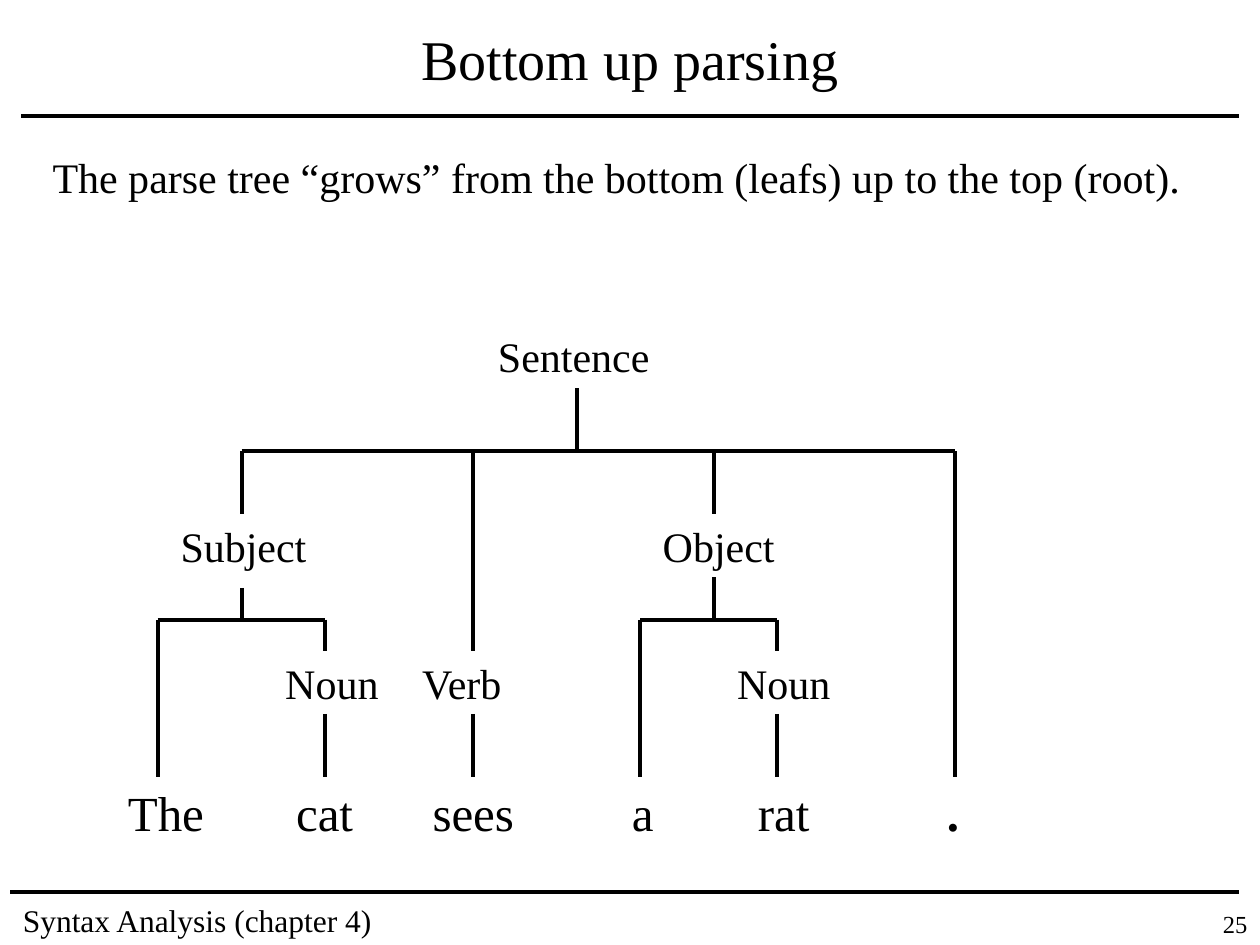
import pptx
import pptx.dml.color
import pptx.enum.shapes
import pptx.enum.text
import pptx.util
from dataclasses import dataclass
from lxml import etree
from pptx.util import Cm

ALIGN = pptx.enum.text.PP_ALIGN
ANCHOR = pptx.enum.text.MSO_ANCHOR
AUTO = pptx.enum.text.MSO_AUTO_SIZE
SHAPE = pptx.enum.shapes.MSO_SHAPE
CONNECTOR = pptx.enum.shapes.MSO_CONNECTOR


@dataclass(frozen=True)
class Theme:
    font: str = "Times New Roman"
    ink: str = "000000"
    paper: str = "FFFFFF"
    title: int = 32
    word: int = 28
    body: int = 24
    footer: int = 18
    number: int = 14
    rule: float = 2.25


THEME = Theme()

# Heights of the tree levels, in cm
ROOT_TOP, ROOT_END = 6.53, 7.83
ROOT_BAR, PHRASE_TOP = 9.1, 10.37
PHRASE_BAR, TAG_TOP = 12.49, 13.12
TAG_END, WORD_TOP = 14.39, 15.66

# Horizontal positions of the branches, in cm
THE, CAT, SEES, A, RAT, STOP = 3.18, 6.56, 9.53, 12.91, 15.66, 19.26
SUBJECT, OBJECT, SENTENCE = 4.87, 14.39, 11.64

# text, left, width, bold
WORDS = [
    ("The", 2.33, 2.15, False),
    ("cat", 5.72, 1.75, False),
    ("sees", 8.47, 2.25, False),
    ("a", 12.49, 1.05, False),
    ("rat", 15.03, 1.65, False),
    (".", 18.84, 0.85, True),
]
# text, left, top, width
LABELS = [
    ("Sentence", 9.79, ROOT_TOP, 3.56),
    ("Subject", 3.39, PHRASE_TOP, 3.05),
    ("Object", 13.11, PHRASE_TOP, 2.77),
    ("Noun", 5.5, TAG_TOP, 2.39),
    ("Verb", 8.26, TAG_TOP, 2.18),
    ("Noun", 14.61, TAG_TOP, 2.39),
]
# parent x, parent end, bar height, [(child x, child top)]
BRANCHES = [
    (SENTENCE, ROOT_END, ROOT_BAR,
     [(SUBJECT, PHRASE_TOP), (SEES, TAG_TOP), (OBJECT, PHRASE_TOP), (STOP, WORD_TOP)]),
    (SUBJECT, 11.85, PHRASE_BAR, [(THE, WORD_TOP), (CAT, TAG_TOP)]),
    (OBJECT, 11.64, PHRASE_BAR, [(A, WORD_TOP), (RAT, TAG_TOP)]),
]


def rgb(value):
    return pptx.dml.color.RGBColor.from_string(value)


def apply(target, values):
    for name, value in values.items():
        setattr(target, name, value)


def write(sp, text, size, align=ALIGN.LEFT, bold=False, **frame):
    """Fill a shape with one paragraph; frame holds text frame settings."""
    tf = sp.text_frame
    apply(tf, {"word_wrap": True, "auto_size": AUTO.NONE,
               "vertical_anchor": ANCHOR.TOP, **frame})
    p = tf.paragraphs[0]
    p.alignment = align
    r = p.add_run()
    r.text = text
    apply(r.font, {"name": THEME.font, "size": pptx.util.Pt(size), "bold": bold})
    r.font.color.rgb = rgb(THEME.ink)


def add_text(s, box, text, size, **options):
    write(s.shapes.add_textbox(*map(Cm, box)), text, size, **options)


def add_word(s, text, left, width, bold):
    box = (left, WORD_TOP, width, 1.45)
    sp = s.shapes.add_shape(SHAPE.RECTANGLE, *map(Cm, box))
    sp.shadow.inherit = False
    sp.fill.solid()
    sp.fill.fore_color.rgb = rgb(THEME.paper)
    sp.line.fill.background()
    write(sp, text, THEME.word, bold=bold, word_wrap=False)


def add_line(s, x1, y1, x2, y2):
    line = s.shapes.add_connector(CONNECTOR.STRAIGHT, *map(Cm, (x1, y1, x2, y2)))
    line.line.color.rgb = rgb(THEME.ink)
    line.line.width = pptx.util.Pt(THEME.rule)
    etree.SubElement(line._element.spPr, pptx.oxml.ns.qn("a:effectLst"))


def add_branch(s, x, end, bar, children):
    """Draw a stem down to a bar, and a drop from the bar to each child."""
    add_line(s, x, end, x, bar)
    add_line(s, children[0][0], bar, children[-1][0], bar)
    for child_x, top in children:
        add_line(s, child_x, bar, child_x, top)


def add_tree(s):
    for word in WORDS:
        add_word(s, *word)
    for text, left, top, width in LABELS:
        add_text(s, (left, top, width, 1.27), text, THEME.body,
                 word_wrap=False, auto_size=AUTO.SHAPE_TO_FIT_TEXT)
    for branch in BRANCHES:
        add_branch(s, *branch)
    for x in (CAT, SEES, RAT):
        add_line(s, x, TAG_END, x, WORD_TOP)


def add_frame(s):
    """Draw the title, the two rules, the footer and the slide number."""
    add_line(s, 0.43, 2.33, 24.97, 2.33)
    add_line(s, 0.21, 17.99, 24.97, 17.99)
    add_text(s, (0.64, 0.21, 24.13, 1.91), "Bottom up parsing", THEME.title,
             align=ALIGN.CENTER, vertical_anchor=ANCHOR.MIDDLE)
    add_text(s, (0.21, 18.03, 9.73, 1.02), "Syntax Analysis (chapter 4)", THEME.footer)
    add_text(s, (23.5, 18.2, 1.9, 0.85), "25", THEME.number, align=ALIGN.RIGHT)


def main():
    prs = pptx.Presentation()
    prs.slide_width, prs.slide_height = Cm(25.4), Cm(19.05)
    s = prs.slides.add_slide(prs.slide_layouts[6])
    add_frame(s)
    add_tree(s)
    add_text(s, (0.81, 2.92, 23.32, 1.27),
             "The parse tree “grows” from the bottom (leafs) up to the top (root).",
             THEME.body)
    prs.save("out.pptx")


if __name__ == "__main__":
    main()
